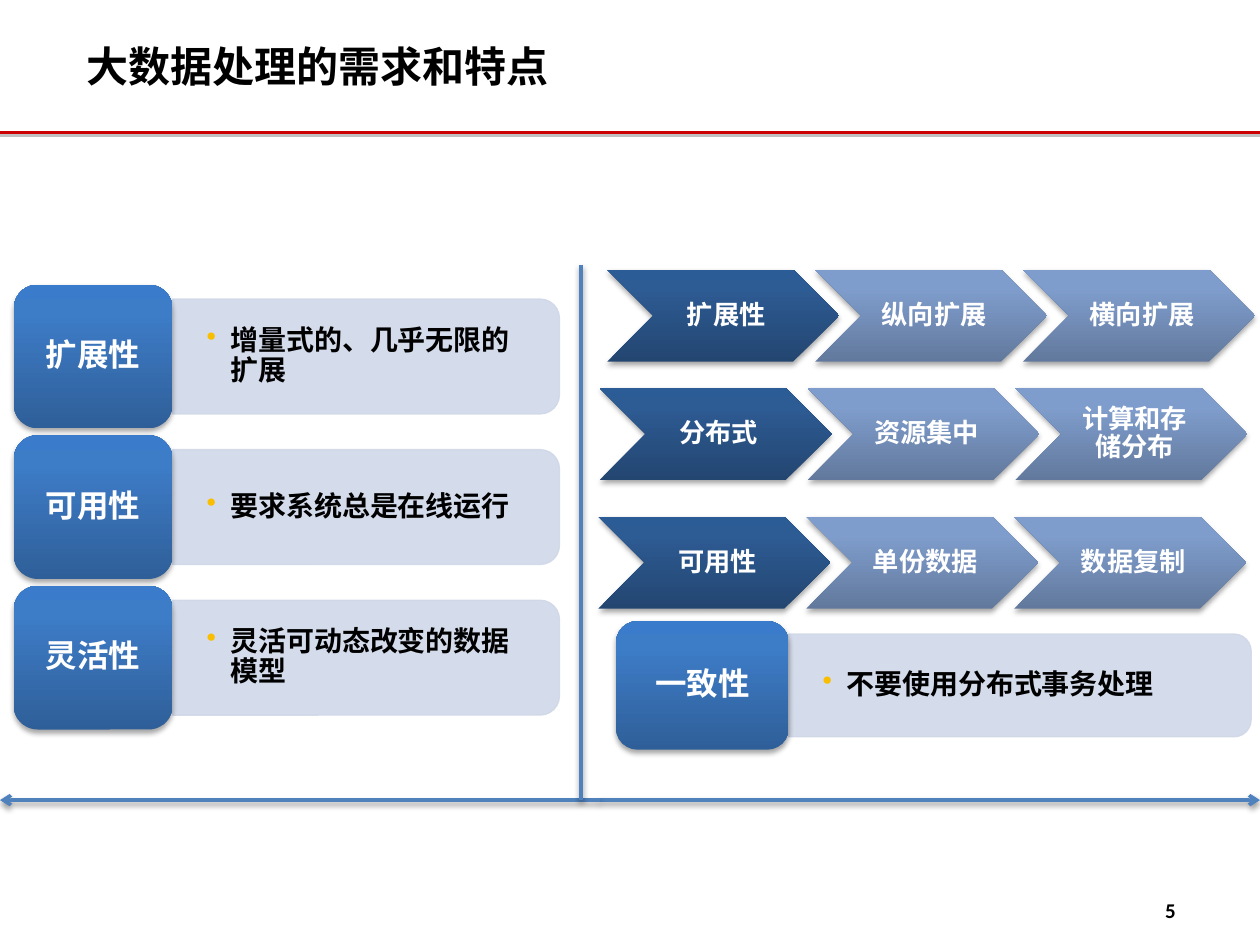
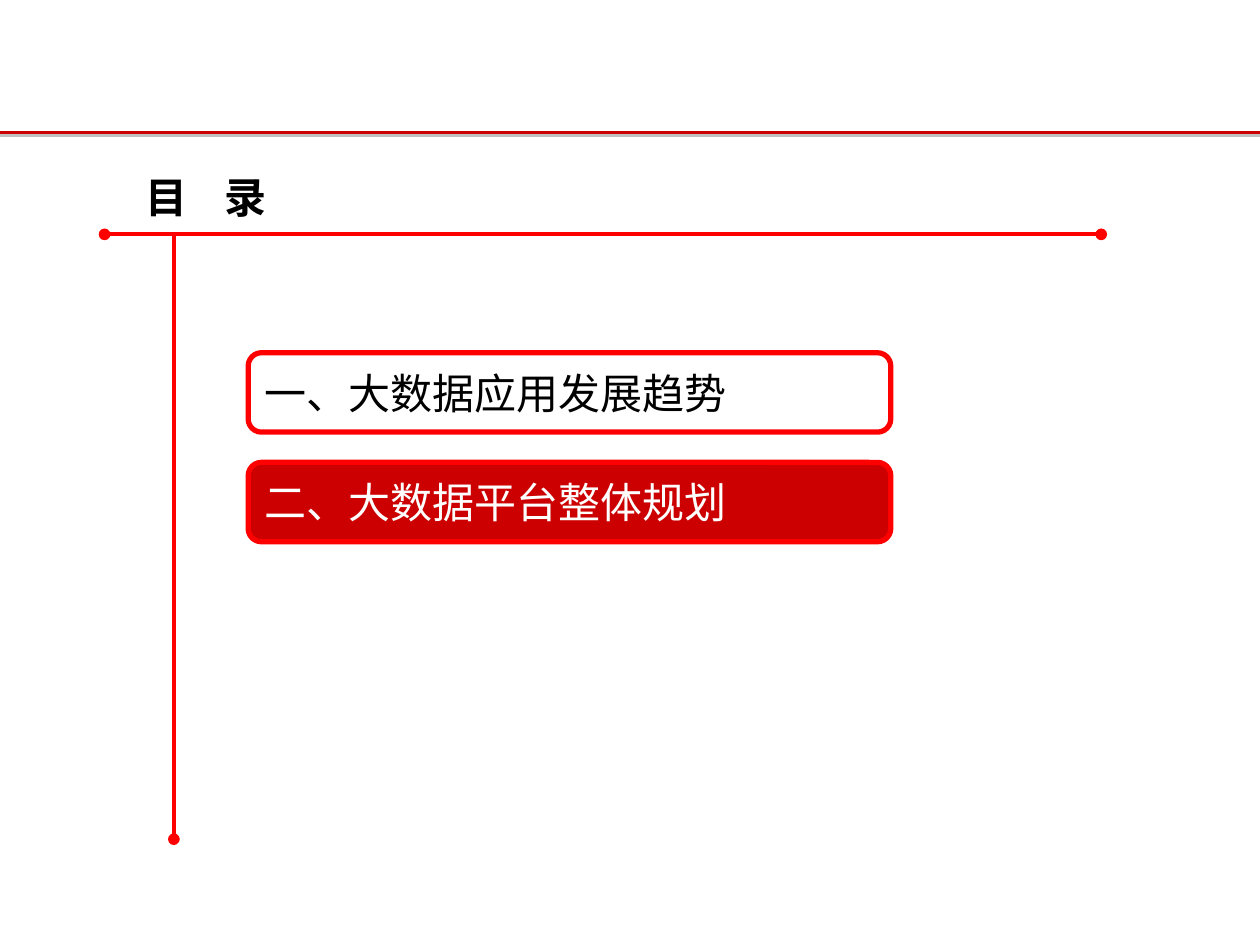
from dataclasses import dataclass
from typing import Any

from lxml import etree
from pptx import Presentation
from pptx.dml.color import RGBColor
from pptx.enum.shapes import MSO_CONNECTOR, MSO_SHAPE
from pptx.enum.text import MSO_ANCHOR, PP_ALIGN
from pptx.oxml.ns import qn
from pptx.util import Inches, Pt

ROUND = MSO_SHAPE.ROUNDED_RECTANGLE
TAB = MSO_SHAPE.ROUND_2_SAME_RECTANGLE
CHEVRON = MSO_SHAPE.CHEVRON
PLAQUE = MSO_SHAPE.FLOWCHART_ALTERNATE_PROCESS
STRAIGHT = MSO_CONNECTOR.STRAIGHT
MIDDLE = MSO_ANCHOR.MIDDLE
TOP = MSO_ANCHOR.TOP
LEFT = PP_ALIGN.LEFT
CENTER = PP_ALIGN.CENTER

SANS = "Noto Sans CJK SC"
BLACK, WHITE = "000000", "FFFFFF"
CRIMSON, RED = "CC0000", "FF0000"
BLUE, PALE, GOLD = "4F81BD", "D0D8E8", "FABE00"
BRIGHT = ((0, "2F5F99"), (80, "3D7CC7"), (100, "3A7CCB"))
DARK = ((0, "234671"), (80, "2D5B93"), (100, "2B5C96"))
SOFT = ((0, "62799D"), (80, "7F9DCC"), (100, "7E9DCE"))
PITCH = 1.65


@dataclass(frozen=True)
class Box:
    x: float
    y: float
    w: float
    h: float

    def units(self) -> list[int]:
        return [Inches(v) for v in (self.x, self.y, self.w, self.h)]


@dataclass(frozen=True)
class Style:
    size: float
    color: str = BLACK
    font: str = SANS
    bold: bool = True
    align: Any = LEFT
    anchor: Any = MIDDLE
    pad: tuple[float, float, float, float] = (0.1, 0.05, 0.1, 0.05)
    space: float = 1.0
    track: int = 0


@dataclass(frozen=True)
class Shade:
    color: str
    alpha: int
    blur: float
    dist: float


@dataclass(frozen=True)
class Card:
    box: Box
    bar: float
    label: str
    note: str


@dataclass(frozen=True)
class Chain:
    x: float
    y: float
    steps: tuple[str, str, str]


@dataclass(frozen=True)
class Line:
    start: tuple[float, float]
    end: tuple[float, float]
    color: str
    width: float
    head: str = ""
    tail: str = ""
    shade: Shade | None = None


GRAY = Shade("C0C0C0", 100, 0, 1.6)
DROP = Shade(BLACK, 35, 3.1, 1.8)
CAST = Shade(BLACK, 38, 3.1, 1.6)

TITLE = Style(24, font="Arial")
NUMBER = Style(12, font="Calibri", align=CENTER, pad=(0.06, 0.05, 0.06, 0.05))
LABEL = Style(18, WHITE, align=CENTER, pad=(0.07, 0.04, 0.07, 0.04), space=0.9)
STEP = Style(15, WHITE, align=CENTER, pad=(0.07, 0.02, 0.02, 0.02), space=0.9)
NOTE = Style(16, pad=(0.27, 0.14, 0.27, 0.14), space=0.9)
HEADING = Style(24, font="Roboto", anchor=TOP, track=780)

NEEDS = (
    ("扩展性", "增量式的、几乎无限的扩展"),
    ("可用性", "要求系统总是在线运行"),
    ("灵活性", "灵活可动态改变的数据模型"),
)
CARDS = [
    Card(Box(0.11, 2.26 + 1.195 * i, 1.26, 1.14), 3.07, *need)
    for i, need in enumerate(NEEDS)
] + [Card(Box(4.89, 4.93, 1.37, 1.02), 3.67, "一致性", "不要使用分布式事务处理")]
CHAINS = (
    Chain(4.82, 2.14, ("扩展性", "纵向扩展", "横向扩展")),
    Chain(4.76, 3.08, ("分布式", "资源集中", "计算和存储分布")),
    Chain(4.75, 4.1, ("可用性", "单份数据", "数据复制")),
)
AXES = (
    Line((4.76, 6.35), (10, 6.35), BLUE, 2, tail="arrow", shade=CAST),
    Line((4.76, 6.35), (0, 6.35), BLUE, 2, tail="arrow", shade=CAST),
    Line((4.61, 2.1), (4.61, 6.35), BLUE, 2, shade=CAST),
)
FRAME = (
    Line((0.83, 1.86), (8.74, 1.86), RED, 2.25, head="oval", tail="oval"),
    Line((1.38, 1.86), (1.38, 6.66), RED, 2.25, tail="oval"),
)
RULE = Line((0, 1.05), (10, 1.05), CRIMSON, 2, shade=GRAY)
TOPICS = (
    (2.8, "一、大数据应用发展趋势", "", BLACK),
    (3.67, "二、大数据平台整体规划", CRIMSON, WHITE),
)


def rgb(code: str) -> RGBColor:
    return RGBColor.from_string(code)


def assign(target: Any, values: dict[str, Any]) -> None:
    for name, value in values.items():
        setattr(target, name, value)


def add(parent: Any, tag: str, **values: Any) -> Any:
    node = etree.SubElement(parent, qn(tag))
    for name, value in values.items():
        node.set(name, str(value))
    return node


def cast(item: Any, shade: Shade | None) -> None:
    props = item._element.spPr
    for old in props.findall(qn("a:effectLst")):
        props.remove(old)
    list_ = add(props, "a:effectLst")
    if shade:
        drop = add(list_, "a:outerShdw", blurRad=Pt(shade.blur), dist=Pt(shade.dist),
                   dir=5400000, rotWithShape=0)
        color = add(drop, "a:srgbClr", val=shade.color)
        add(color, "a:alpha", val=shade.alpha * 1000)


def write(item: Any, text: str, style: Style) -> Any:
    frame = item.text_frame
    left, top, right, bottom = map(Inches, style.pad)
    assign(frame, {"word_wrap": True, "vertical_anchor": style.anchor,
                   "margin_left": left, "margin_top": top,
                   "margin_right": right, "margin_bottom": bottom})
    para = frame.paragraphs[0]
    assign(para, {"alignment": style.align, "line_spacing": style.space})
    run = para.add_run()
    run.text = text
    assign(run.font, {"size": Pt(style.size), "name": style.font, "bold": style.bold})
    run.font.color.rgb = rgb(style.color)
    props = run._r.get_or_add_rPr()
    add(props, "a:ea", typeface=SANS)
    if style.track:
        props.set("spc", str(style.track))
    return para


def label(slide: Any, box: Box, text: str, style: Style) -> Any:
    return write(slide.shapes.add_textbox(*box.units()), text, style)


def shape(slide: Any, kind: Any, box: Box, fill: str = "", edge: str = "",
          width: float = 1) -> Any:
    item = slide.shapes.add_shape(kind, *box.units())
    item.shadow.inherit = False
    if fill:
        item.fill.solid()
        item.fill.fore_color.rgb = rgb(fill)
    else:
        item.fill.background()
    if edge:
        item.line.color.rgb = rgb(edge)
        item.line.width = Pt(width)
    else:
        item.line.fill.background()
    return item


def blend(slide: Any, kind: Any, box: Box, stops: tuple, text: str, style: Style) -> None:
    item = shape(slide, kind, box)
    item.fill.gradient()
    item.fill.gradient_angle = 90
    list_ = item._element.spPr.find(".//" + qn("a:gsLst"))
    for old in list(list_):
        list_.remove(old)
    for place, code in stops:
        add(add(list_, "a:gs", pos=place * 1000), "a:srgbClr", val=code)
    cast(item, DROP)
    write(item, text, style)


def draw(slide: Any, line: Line) -> None:
    points = [Inches(v) for v in line.start + line.end]
    item = slide.shapes.add_connector(STRAIGHT, *points)
    item.line.color.rgb = rgb(line.color)
    item.line.width = Pt(line.width)
    edge = item.line._get_or_add_ln()
    for tag, kind in (("a:headEnd", line.head), ("a:tailEnd", line.tail)):
        if kind:
            add(edge, tag, type=kind)
    cast(item, line.shade)


def show(slide: Any, card: Card) -> None:
    box = card.box
    high = box.h * 0.8
    edge, mid = box.x + box.w, box.y + box.h / 2
    tall = Box(edge + (card.bar - high) / 2, mid - card.bar / 2, high, card.bar)
    bar = shape(slide, TAB, tall, PALE, PALE, 0.75)
    bar.rotation = 90
    for color in bar._element.spPr.iter(qn("a:srgbClr")):
        add(color, "a:alpha", val=90000)
    note = Box(edge, mid - high * 0.45, card.bar - 0.04, high * 0.9)
    props = label(slide, note, card.note, NOTE)._p.get_or_add_pPr()
    props.set("marL", str(Inches(0.19)))
    props.set("indent", str(Inches(-0.19)))
    add(add(props, "a:buClr"), "a:srgbClr", val=GOLD)
    add(props, "a:buChar", char="•")
    blend(slide, ROUND, box, BRIGHT, card.label, LABEL)


def link(slide: Any, chain: Chain) -> None:
    for i, text in enumerate(chain.steps):
        box = Box(chain.x + PITCH * i, chain.y, 1.84, 0.73)
        blend(slide, CHEVRON, box, SOFT if i else DARK, text, STEP)


def start(deck: Any) -> Any:
    slide = deck.slides.add_slide(deck.slide_layouts[6])
    draw(slide, RULE)
    return slide


def needs(deck: Any) -> None:
    slide = start(deck)
    label(slide, Box(9.04, 7.02, 0.5, 0.4), "5", NUMBER)
    for card in CARDS:
        show(slide, card)
    for chain in CHAINS:
        link(slide, chain)
    for line in AXES:
        draw(slide, line)
    label(slide, Box(0.59, 0.16, 7.17, 0.73), "大数据处理的需求和特点", TITLE)


def agenda(deck: Any) -> None:
    slide = start(deck)
    label(slide, Box(1.06, 1.31, 2.92, 0.5), "目 录", HEADING)
    for y, text, fill, ink in TOPICS:
        item = shape(slide, PLAQUE, Box(1.97, y, 5.1, 0.63), fill, RED, 3)
        write(item, text, Style(24, ink, bold=False))
    for line in FRAME:
        draw(slide, line)


def main() -> None:
    deck = Presentation()
    assign(deck, {"slide_width": Inches(10), "slide_height": Inches(7.5)})
    needs(deck)
    agenda(deck)
    deck.save("out.pptx")


if __name__ == "__main__":
    main()
